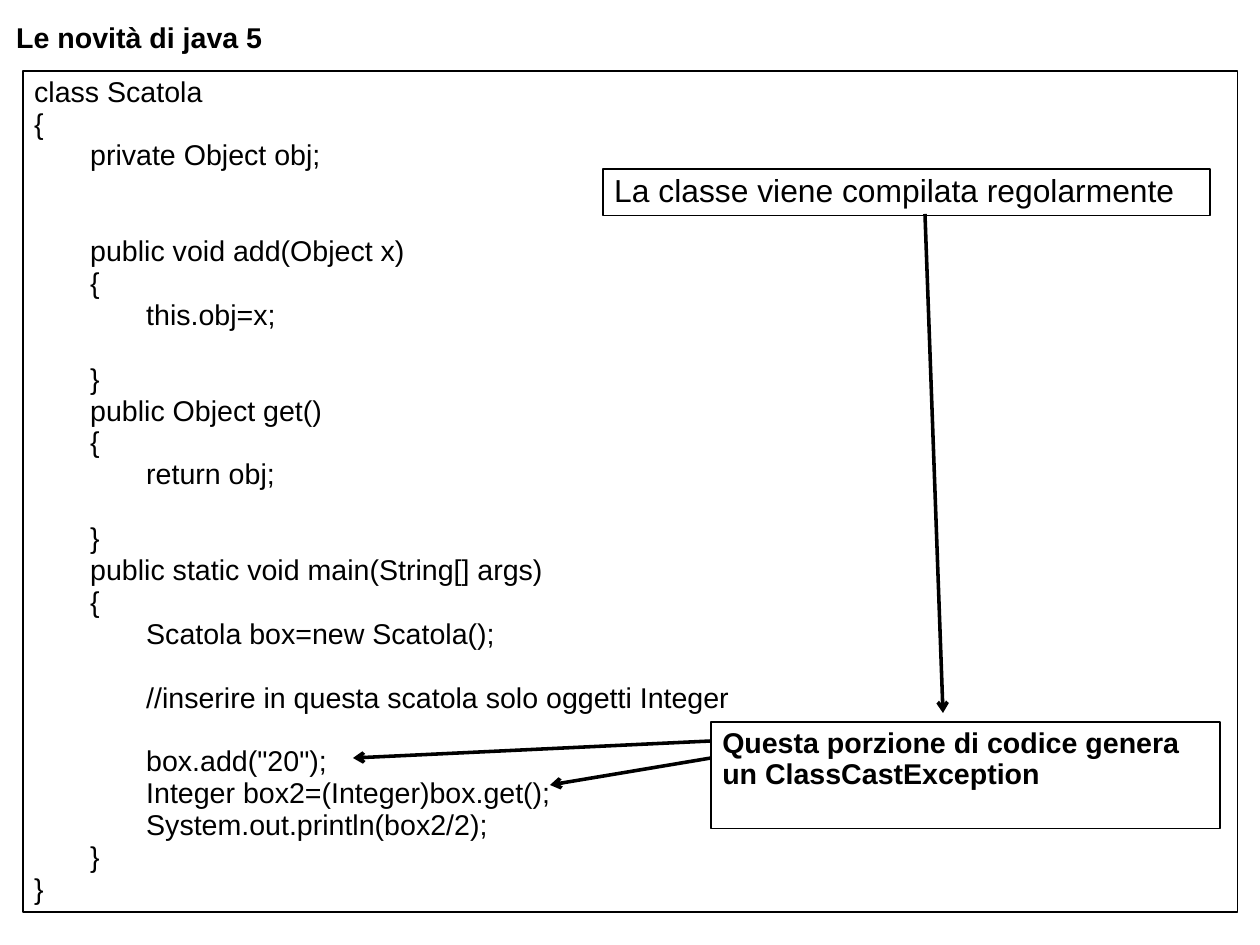
"""Builds the slide on the Scatola class and its ClassCastException."""
from lxml import etree
from pptx import Presentation
from pptx.dml.color import RGBColor
from pptx.enum.shapes import MSO_CONNECTOR, MSO_SHAPE
from pptx.enum.text import MSO_ANCHOR, MSO_AUTO_SIZE, PP_ALIGN
from pptx.oxml.ns import qn
from pptx.util import Pt

PX = 8000
TAB = 56
RECT = MSO_SHAPE.RECTANGLE
STRAIGHT = MSO_CONNECTOR.STRAIGHT
TOP = MSO_ANCHOR.TOP
LEFT = PP_ALIGN.LEFT
GROW = MSO_AUTO_SIZE.SHAPE_TO_FIT_TEXT
FIXED = MSO_AUTO_SIZE.NONE
COLORS = {"ink": "000000", "paper": "FFFFFF"}
INK = RGBColor.from_string(COLORS["ink"])
PAPER = RGBColor.from_string(COLORS["paper"])

CODE = """class Scatola
{
    private Object obj;


    public void add(Object x)
    {
        this.obj=x;

    }
    public Object get()
    {
        return obj;

    }
    public static void main(String[] args)
    {
        Scatola box=new Scatola();

        //inserire in questa scatola solo oggetti Integer

        box.add("20");
        Integer box2=(Integer)box.get();
        System.out.println(box2/2);
    }
}"""


def write(s, text, size=18, bold=False, fit=GROW):
    tf = s.text_frame
    tf.text = text.replace("    ", "\t")
    tf.word_wrap = True
    tf.auto_size = fit
    tf.vertical_anchor = TOP
    for p in tf.paragraphs:
        p.alignment = LEFT
        p.line_spacing = 0.93
        tabs = etree.SubElement(p._p.get_or_add_pPr(), qn("a:tabLst"))
        for i in range(8):
            etree.SubElement(tabs, qn("a:tab"), pos=str(i * TAB * PX), algn="l")
        for r in p.runs:
            r.font.name = "Arial"
            r.font.size = Pt(size)
            r.font.bold = bold
            r.font.color.rgb = INK
        if not p.runs:
            p._p.get_or_add_endParaRPr().set("sz", str(size * 100))


def add_box(x, y, w, h):
    s = slide.shapes.add_shape(RECT, x * PX, y * PX, w * PX, h * PX)
    s.shadow.inherit = False
    s.fill.background()
    s.line.color.rgb = INK
    s.line.width = Pt(0.75)
    return s


prs = Presentation()
prs.slide_width = 1260 * PX
prs.slide_height = 945 * PX
slide = prs.slides.add_slide(prs.slide_layouts[6])

title = slide.shapes.add_textbox(5 * PX, 17 * PX, 295 * PX, 43 * PX)
write(title, "Le novità di java 5", bold=True)

code = add_box(23, 71, 1215, 841)
write(code, CODE)

error = add_box(711, 722, 509, 107)
error.fill.solid()
error.fill.fore_color.rgb = PAPER
write(error, "Questa porzione di codice genera un ClassCastException", bold=True, fit=FIXED)

compiled = add_box(603, 169, 607, 47)
write(compiled, "La classe viene compilata regolarmente", size=20)

arrows = [(711, 741, 353, 758), (711, 758, 550, 785), (925, 214, 943, 713)]
for x1, y1, x2, y2 in arrows:
    arrow = slide.shapes.add_connector(STRAIGHT, x1 * PX, y1 * PX, x2 * PX, y2 * PX)
    arrow.line.color.rgb = INK
    arrow.line.width = Pt(2.25)
    etree.SubElement(arrow.line._get_or_add_ln(), qn("a:tailEnd"), type="arrow")
    etree.SubElement(arrow._element.spPr, qn("a:effectLst"))

prs.save("out.pptx")
